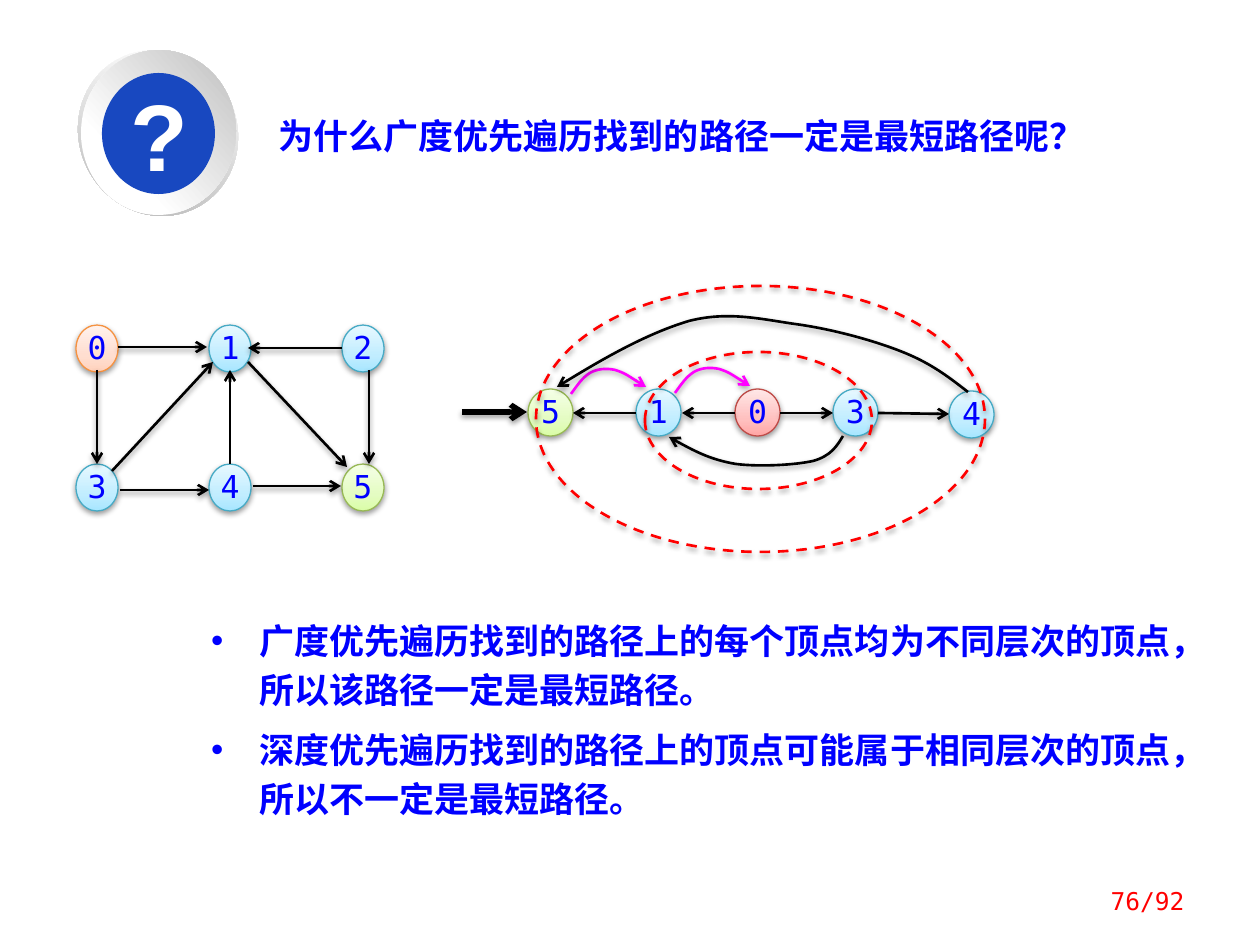
from lxml import etree
from pptx import Presentation
from pptx.dml.color import RGBColor
from pptx.enum.dml import MSO_LINE
from pptx.enum.shapes import MSO_CONNECTOR, MSO_SHAPE
from pptx.enum.text import MSO_ANCHOR, PP_ALIGN
from pptx.oxml.ns import qn
from pptx.util import Pt

OVAL, RECTANGLE = MSO_SHAPE.OVAL, MSO_SHAPE.RECTANGLE
STRAIGHT = MSO_CONNECTOR.STRAIGHT
DASH = MSO_LINE.DASH
TOP, MIDDLE = MSO_ANCHOR.TOP, MSO_ANCHOR.MIDDLE
LEFT, CENTER, RIGHT = PP_ALIGN.LEFT, PP_ALIGN.CENTER, PP_ALIGN.RIGHT

EMU_PER_PX = 914400 / 126
MONO, CJK, SANS = "DejaVu Sans Mono", "Noto Sans CJK SC", "Arial"
BLACK, WHITE, BLUE, RED, MAGENTA = "000000", "FFFFFF", "0000FF", "FF0000", "FF00FF"

NODE_STYLES = {
    "plain": ("46AAC5", ((0, "A7E6FF"), (35, "C1EDFF"), (100, "E7F8FF"))),
    "source": ("BF4C48", ((0, "FFA6A5"), (35, "FFC0BF"), (100, "FFE7E7"))),
    "start": ("F69240", ((0, "FFD2BD"), (35, "FFDED0"), (100, "FFF2ED"))),
    "target": ("98B955", ((0, "DAFDA7"), (35, "E4FCC2"), (100, "F5FFE7"))),
}

QUESTION = "为什么广度优先遍历找到的路径一定是最短路径呢？"
ANSWERS = (
    "广度优先遍历找到的路径上的每个顶点均为不同层次的顶点，所以该路径一定是最短路径。",
    "深度优先遍历找到的路径上的顶点可能属于相同层次的顶点，所以不一定是最短路径。",
)

LEVEL_NODES = (
    ("1", 636, 389, "plain"), ("4", 949, 391, "plain"), ("0", 735, 389, "source"),
    ("3", 833, 389, "plain"), ("5", 528, 389, "target"),
)
LEVEL_EDGES = (
    (780, 413, 833, 413), (878, 413, 949, 414),
    (636, 413, 573, 413), (735, 413, 682, 413),
)
LEVEL_RINGS = ((645, 352, 227, 137), (536, 286, 449, 266))
BACK_STEP = (
    (571, 394), (577, 386), (582, 378), (590, 373), (597, 369),
    (606, 368), (615, 370), (625, 373), (636, 381), (646, 387),
)
EDGE_4_TO_5 = (
    (968, 392), (950, 378), (932, 364), (905, 353), (876, 341), (832, 329), (795, 324),
    (760, 319), (728, 311), (689, 321), (649, 333), (602, 359), (557, 387),
)
EDGE_3_TO_1 = (
    (843, 436), (837, 446), (831, 456), (813, 461), (795, 465),
    (760, 467), (736, 464), (712, 460), (690, 449), (669, 437),
)

GRAPH_NODES = (
    ("1", 1, 0, "plain"), ("2", 2, 0, "plain"), ("3", 0, 1, "plain"),
    ("4", 1, 1, "plain"), ("0", 0, 0, "start"), ("5", 2, 1, "target"),
)
GRAPH_EDGES = (
    (118, 347, 207, 347), (342, 348, 248, 348), (97, 370, 97, 464),
    (120, 490, 209, 490), (253, 486, 341, 486), (369, 370, 369, 464),
    (112, 471, 213, 362), (248, 362, 347, 467),
)


def px(*lengths):
    return [round(length * EMU_PER_PX) for length in lengths]


def color(code):
    return RGBColor.from_string(code)


def write(frame, text, size=18, font=MONO, ink=BLUE, bold=False, align=LEFT, anchor=TOP,
          insets=None, spacing=None, before=None, bullet_indent=None):
    frame.word_wrap = True
    frame.vertical_anchor = anchor
    if insets:
        (frame.margin_left, frame.margin_top,
         frame.margin_right, frame.margin_bottom) = px(*insets)
    for index, line in enumerate(text.split("\n")):
        paragraph = frame.add_paragraph() if index else frame.paragraphs[0]
        paragraph.alignment = align
        if spacing:
            paragraph.line_spacing = Pt(spacing)
        if before:
            paragraph.space_before = Pt(before)
        if bullet_indent:
            indent, = px(bullet_indent)
            properties = paragraph._p.get_or_add_pPr()
            properties.set("marL", str(indent))
            properties.set("indent", str(-indent))
            etree.SubElement(properties, qn("a:buFont"), typeface=SANS)
            etree.SubElement(properties, qn("a:buChar"), char="•")
        run = paragraph.add_run()
        run.text = line
        run.font.size, run.font.name, run.font.bold = Pt(size), font, bold
        run.font.color.rgb = color(ink)
        etree.SubElement(run.font._element, qn("a:ea"), typeface=CJK)


class SlideBuilder:
    def __init__(self, slide):
        self.slide = slide
        self.shapes = slide.shapes

    def begin_group(self):
        self.shapes = self.slide.shapes.add_group_shape().shapes

    def end_group(self):
        self.shapes = self.slide.shapes

    def outline(self, shape, ink, width, dash=None, arrow=False, shadow=True):
        shape.line.color.rgb = color(ink)
        shape.line.width = Pt(width)
        if dash:
            shape.line.dash_style = dash
        properties = shape.element.spPr
        if arrow:
            etree.SubElement(properties.find(qn("a:ln")), qn("a:tailEnd"), type="arrow")
        effects = properties.find(qn("a:effectLst"))
        if effects is None:
            effects = etree.SubElement(properties, qn("a:effectLst"))
        if shadow:
            outer = etree.SubElement(effects, qn("a:outerShdw"), blurRad="40000",
                                     dist="20000", dir="5400000", rotWithShape="0")
            tint = etree.SubElement(outer, qn("a:srgbClr"), val=BLACK)
            etree.SubElement(tint, qn("a:alpha"), val="38000")

    def shape(self, kind, box, fill=None):
        shape = self.shapes.add_shape(kind, *px(*box))
        shape.shadow.inherit = False
        shape.line.fill.background()
        if fill:
            shape.fill.solid()
            shape.fill.fore_color.rgb = color(fill)
        else:
            shape.fill.background()
        return shape

    def gradient_oval(self, box, stops, angle, rotation=0):
        oval = self.shape(OVAL, box)
        oval.rotation = rotation
        oval.fill.gradient()
        oval.fill.gradient_angle = angle
        stop_list = oval.element.spPr.find(".//" + qn("a:gsLst"))
        for old_stop in list(stop_list):
            stop_list.remove(old_stop)
        for position, code in stops:
            stop = etree.SubElement(stop_list, qn("a:gs"), pos=str(position * 1000))
            etree.SubElement(stop, qn("a:srgbClr"), val=code)
        return oval

    def node(self, label, x, y, width, style):
        edge, stops = NODE_STYLES[style]
        oval = self.gradient_oval((x, y, width, 47), stops, 90)
        self.outline(oval, edge, 0.75)
        write(oval.text_frame, label, align=CENTER, anchor=MIDDLE,
              insets=(0, 0, 0, 0), spacing=20)

    def ring(self, box):
        self.outline(self.shape(OVAL, box), RED, 1.5, dash=DASH)

    def arrow(self, ends, width=1.5, shadow=True):
        line = self.shapes.add_connector(STRAIGHT, *px(*ends))
        self.outline(line, BLACK, width, arrow=True, shadow=shadow)

    def curved_arrow(self, points, ink=BLACK):
        builder = self.shapes.build_freeform(*points[0], scale=EMU_PER_PX)
        builder.add_line_segments(points[1:], close=False)
        curve = builder.convert_to_shape()
        curve.shadow.inherit = False
        curve.fill.background()
        outline_path = curve.element.spPr.find(".//" + qn("a:path"))
        segments = outline_path.findall(qn("a:lnTo"))
        for first in range(0, len(segments), 3):
            bezier = etree.SubElement(outline_path, qn("a:cubicBezTo"))
            for segment in segments[first:first + 3]:
                bezier.append(segment[0])
                outline_path.remove(segment)
        self.outline(curve, ink, 1.5, arrow=True)

    def text(self, box, text, **style):
        write(self.shapes.add_textbox(*px(*box)).text_frame, text, **style)

    def panel(self, box, text, **style):
        write(self.shape(RECTANGLE, box, WHITE).text_frame, text, **style)


def main():
    presentation = Presentation()
    presentation.slide_width, presentation.slide_height = px(1260, 945)
    page = SlideBuilder(presentation.slides.add_slide(presentation.slide_layouts[6]))

    page.begin_group()
    page.gradient_oval((74, 54, 168, 158), ((17, WHITE), (88, "B8B8B8")), 315, 62.3)
    page.gradient_oval((76, 55, 165, 155), ((29, WHITE), (98, "BFBFBF")), 315, 273)
    badge = page.shape(OVAL, (102, 73, 113, 121), "1848C0")
    write(badge.text_frame, "?", size=54, font=SANS, ink=WHITE, bold=True,
          align=CENTER, anchor=MIDDLE)
    page.end_group()
    page.text((266, 108, 886, 55), QUESTION, size=20, bold=True)

    for label, x, y, style in LEVEL_NODES:
        page.node(label, x, y, 45, style)
    for ring in LEVEL_RINGS:
        page.ring(ring)
    for edge in LEVEL_EDGES:
        page.arrow(edge)
    page.arrow((462, 412, 527, 412), width=3)
    page.curved_arrow(BACK_STEP, MAGENTA)
    page.curved_arrow([(x + 104, y - 1) for x, y in BACK_STEP], MAGENTA)

    page.panel((186, 598, 1004, 238), "\n".join(ANSWERS), size=20, font=CJK, bold=True,
               insets=(25, 15, 13, 15), spacing=28, before=6, bullet_indent=48)

    page.begin_group()
    for label, column, row, style in GRAPH_NODES:
        page.node(label, 76 + 133 * column, 325 + 139 * row, 42, style)
    for edge in GRAPH_EDGES:
        page.arrow(edge)
    page.arrow((230, 464, 230, 370), shadow=False)
    page.end_group()

    page.curved_arrow(EDGE_4_TO_5)
    page.curved_arrow(EDGE_3_TO_1)
    page.text((1043, 876, 154, 50), "76/92", size=14, ink=RED, align=RIGHT, anchor=MIDDLE)
    presentation.save("out.pptx")


if __name__ == "__main__":
    main()
